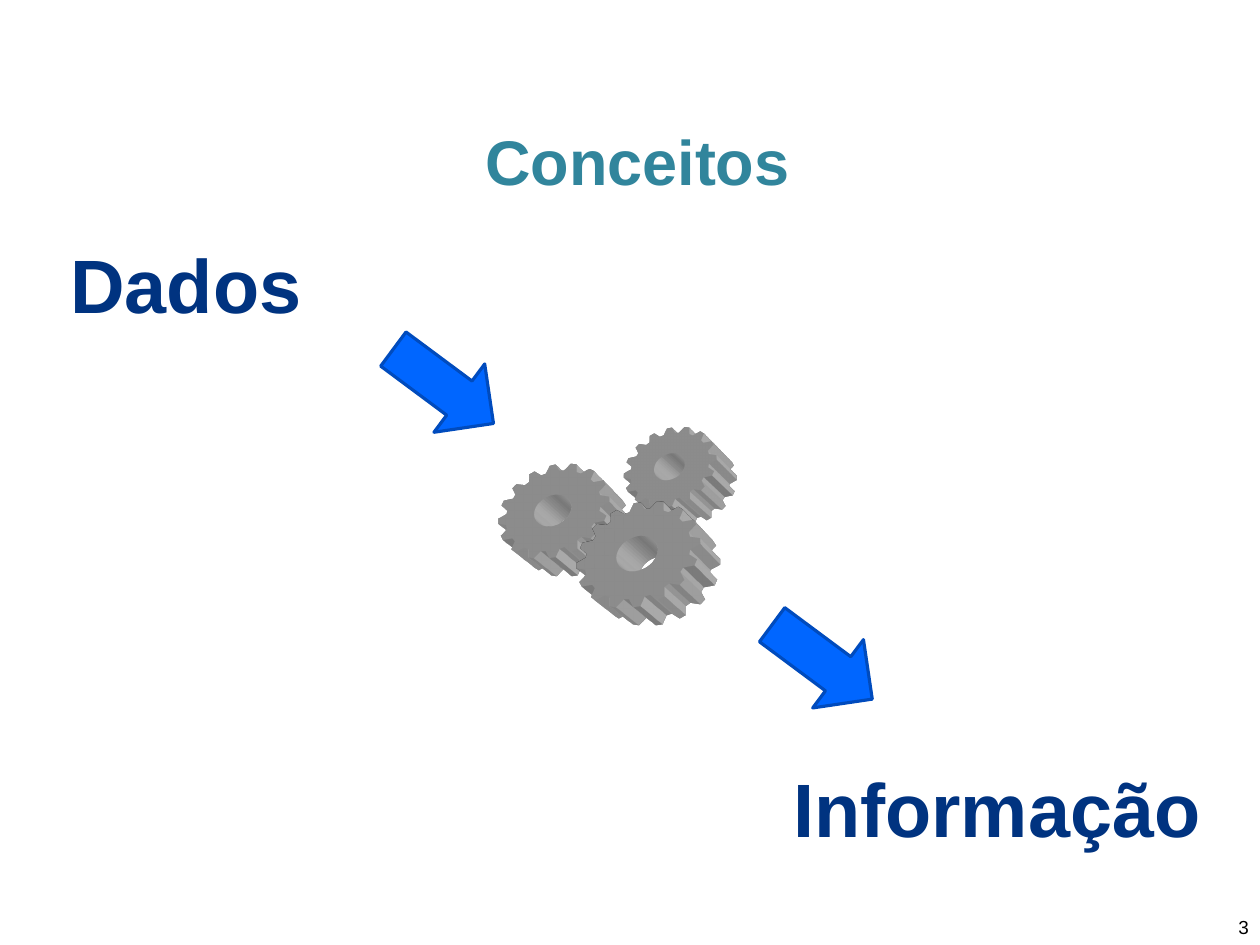
from dataclasses import dataclass
from math import cos, pi, sin

from lxml import etree
from pptx import Presentation
from pptx.dml.color import RGBColor
from pptx.enum import shapes, text
from pptx.oxml import ns, parse_xml
from pptx.util import Inches, Pt


@dataclass(frozen=True)
class Theme:
    font: str = "Arial"
    title: str = "31859C"
    label: str = "003380"
    number: str = "000000"
    arrow: str = "0066FF"
    arrow_line: str = "004BBD"
    gear: str = "C0C0C0"
    title_size: int = 40
    label_size: int = 48
    number_size: int = 12


THEME = Theme()
TEETH = 16
TOOTH_PROFILE = [(-0.37, 0.85), (-0.14, 1), (0.14, 1), (0.37, 0.85)]
HOLE_STEPS = 48

SCENE = f"""<a:scene3d {ns.nsdecls("a")}>
  <a:camera prst="legacyPerspectiveFront">
    <a:rot lat="20099998" lon="1500000" rev="0"/>
  </a:camera>
  <a:lightRig rig="legacyFlat3" dir="b"/>
</a:scene3d>"""

EXTRUSION = f"""<a:sp3d {ns.nsdecls("a")} extrusionH="430200" prstMaterial="legacyMatte">
  <a:bevelT w="13500" h="13500" prst="angle"/>
  <a:bevelB w="13500" h="13500" prst="angle"/>
  <a:extrusionClr><a:srgbClr val="{THEME.gear}"/></a:extrusionClr>
</a:sp3d>"""


def rgb(value):
    return RGBColor.from_string(value)


def place(s, left, top, width, height):
    s.left, s.top = Inches(left), Inches(top)
    s.width, s.height = Inches(width), Inches(height)


def fill(s, color):
    s.shadow.inherit = False
    s.fill.solid()
    s.fill.fore_color.rgb = rgb(color)


def write(s, words, size, color, align, anchor=text.MSO_ANCHOR.TOP, bold=True):
    tf = s.text_frame
    tf.text = words
    tf.word_wrap = True
    tf.auto_size = text.MSO_AUTO_SIZE.NONE
    tf.vertical_anchor = anchor
    p = tf.paragraphs[0]
    p.alignment = align
    p.space_before = Pt(0)
    font = p.runs[0].font
    font.name, font.size, font.bold = THEME.font, Pt(size), bold
    font.color.rgb = rgb(color)


def remove_bullet(p):
    properties = p._p.get_or_add_pPr()
    properties.set("marL", "0")
    properties.set("indent", "0")
    etree.SubElement(properties, ns.qn("a:buNone"))


def add_label(slide, words, box, *style, **options):
    s = slide.shapes.add_textbox(*map(Inches, box))
    write(s, words, *style, **options)


def add_arrow(slide, left, top):
    s = slide.shapes.add_shape(
        shapes.MSO_SHAPE.RIGHT_ARROW,
        Inches(left), Inches(top), Inches(1.1), Inches(0.75))
    s.rotation = 36.6
    fill(s, THEME.arrow)
    s.line.color.rgb = rgb(THEME.arrow_line)
    s.line.width = Pt(2)


def add_gear(group, x, y, rx, ry):
    def point(turn, reach):
        angle = 2 * pi * turn
        return (Inches(x + rx * reach * sin(angle)),
                Inches(y - ry * reach * cos(angle)))

    rim = [point((tooth + shift) / TEETH, reach)
           for tooth in range(TEETH) for shift, reach in TOOTH_PROFILE]
    hole = [point(-step / HOLE_STEPS, 1 / 3) for step in range(HOLE_STEPS)]
    builder = group.shapes.build_freeform(*rim[0], scale=1.0)
    builder.add_line_segments(rim[1:], close=True)
    builder.move_to(*hole[0])
    builder.add_line_segments(hole[1:], close=True)
    s = builder.convert_to_shape()
    fill(s, THEME.gear)
    s.line.fill.background()
    for effect in (SCENE, EXTRUSION):
        s._element.spPr.append(parse_xml(effect))


def main():
    prs = Presentation()
    prs.slide_width, prs.slide_height = Inches(11.11), Inches(8.33)
    slide = prs.slides.add_slide(prs.slide_layouts[1])
    left, center, right = text.PP_ALIGN.LEFT, text.PP_ALIGN.CENTER, text.PP_ALIGN.RIGHT
    middle = text.MSO_ANCHOR.MIDDLE

    title, body = slide.placeholders
    place(title, 0.38, 0.72, 10.48, 1.39)
    write(title, "Conceitos", THEME.title_size, THEME.title, center, middle)
    place(body, 0.52, 2.05, 2.72, 0.84)
    write(body, "Dados", THEME.label_size, THEME.label, left)
    remove_bullet(body.text_frame.paragraphs[0])

    add_label(slide, "3", (10.57, 8.02, 0.54, 0.31),
              THEME.number_size, THEME.number, right, middle, bold=False)
    add_label(slide, "Informação", (6.73, 6.67, 4.12, 0.84),
              THEME.label_size, THEME.label, center)

    gears = slide.shapes.add_group_shape()
    add_gear(gears, 5.9, 4.11, 0.45, 0.38)
    add_gear(gears, 4.87, 4.5, 0.54, 0.45)
    add_gear(gears, 5.62, 4.88, 0.6, 0.5)
    for x, y in [(3.36, 3.03), (6.7, 5.46)]:
        add_arrow(slide, x, y)

    prs.save("out.pptx")


if __name__ == "__main__":
    main()
